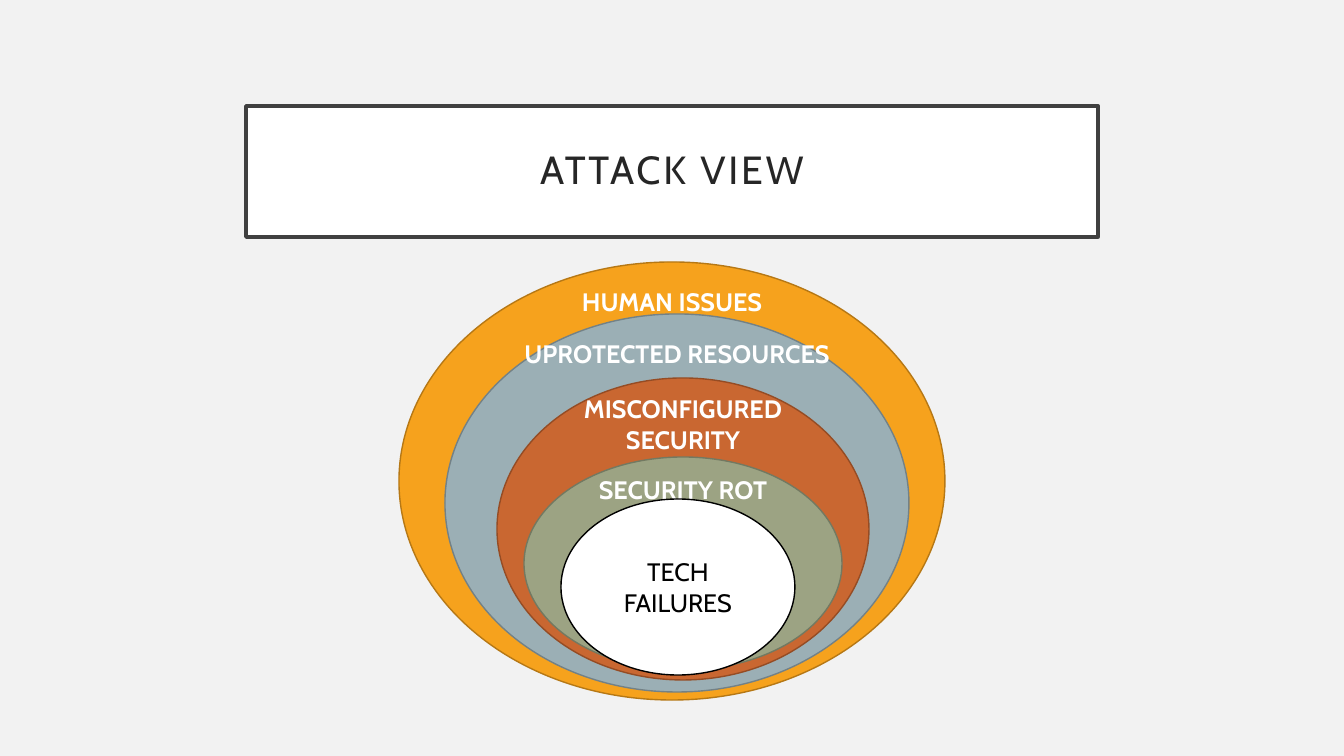
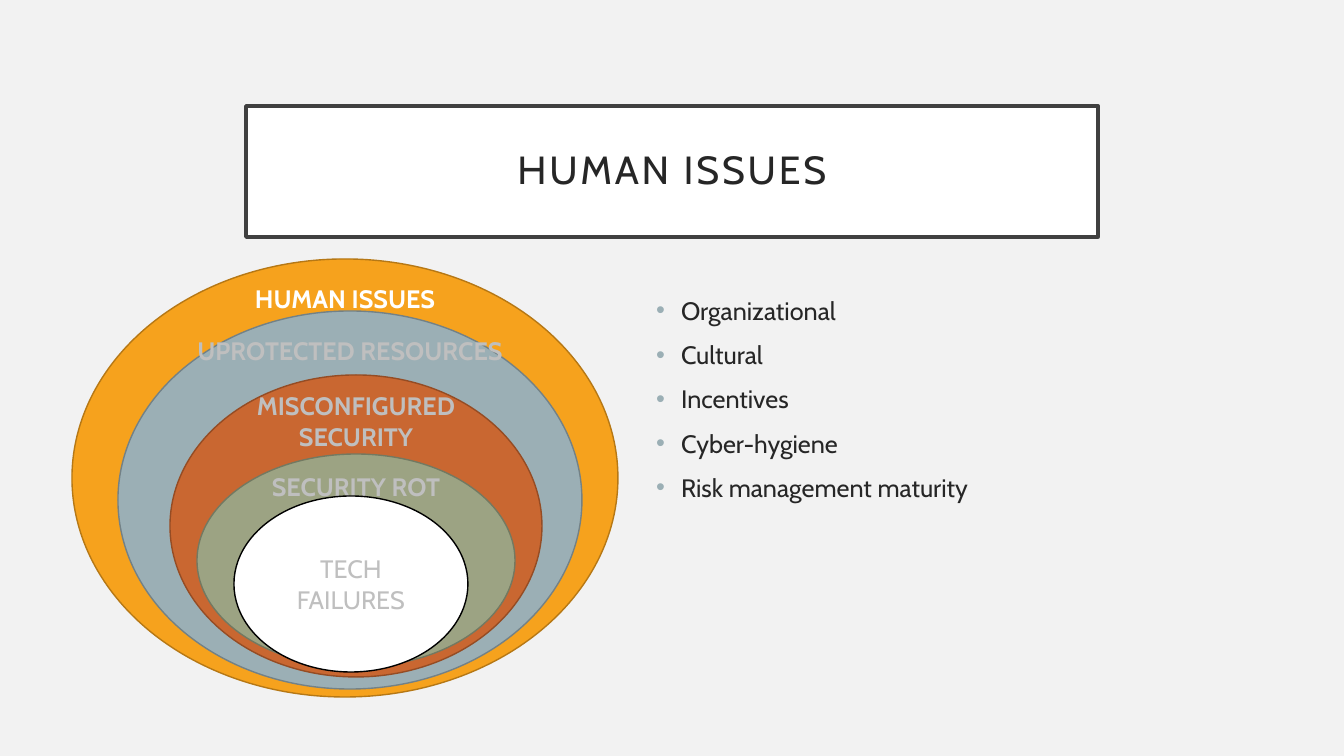
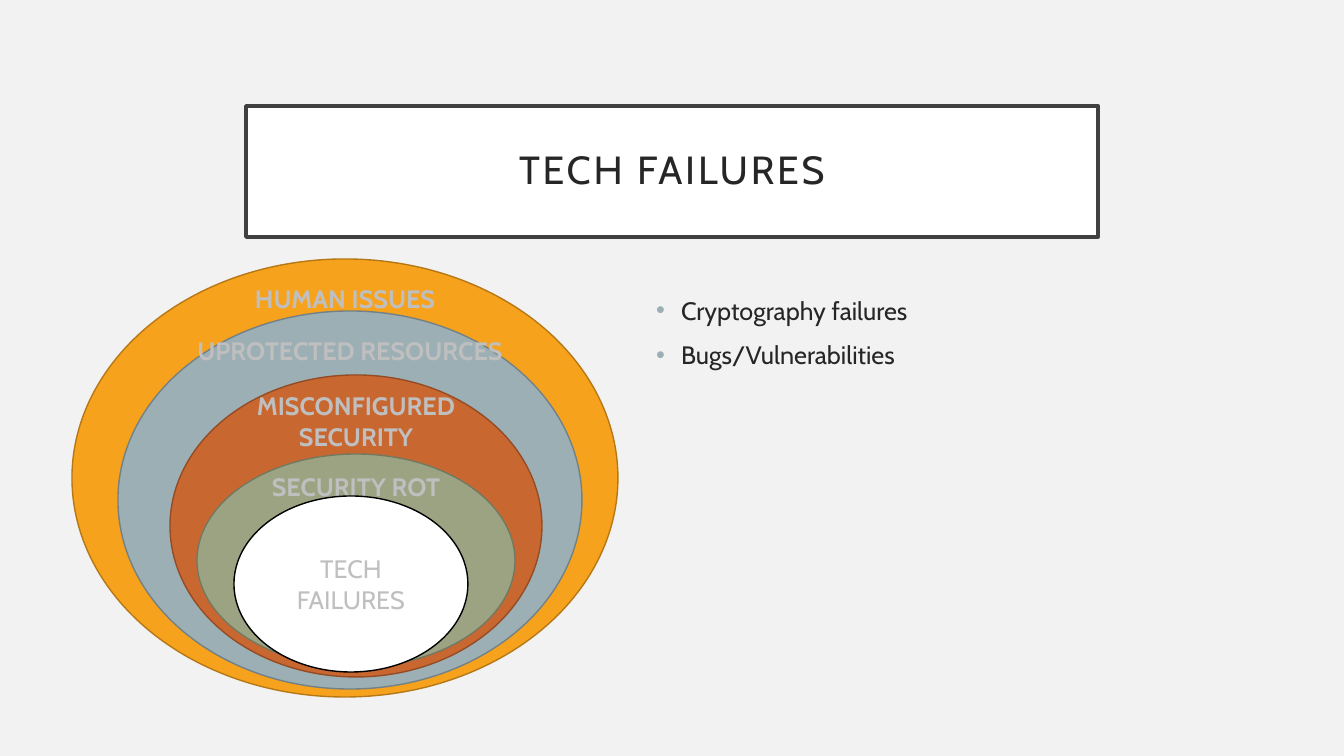
"""Build three slides on the layers of an attack view."""
import pptx
import pptx.util
import pptx.dml.color
import pptx.enum.shapes
import pptx.enum.text
import lxml.etree
import pptx.oxml.ns

RGB = pptx.dml.color.RGBColor
WHITE = RGB(0xFF, 0xFF, 0xFF)
BLACK = RGB(0, 0, 0)
PAPER = RGB(0xF2, 0xF2, 0xF2)
FRAME = RGB(0x40, 0x40, 0x40)
INK = RGB(0x26, 0x26, 0x26)
FADED = RGB(0xBF, 0xBF, 0xBF)
AMBER, AMBER_EDGE = RGB(0xF6, 0xA2, 0x1D), RGB(0xB6, 0x78, 0x15)
STEEL, STEEL_EDGE = RGB(0x9B, 0xAF, 0xB5), RGB(0x73, 0x81, 0x86)
RUST, RUST_EDGE = RGB(0xC9, 0x67, 0x31), RGB(0x95, 0x4C, 0x24)
SAGE, SAGE_EDGE = RGB(0x9C, 0xA3, 0x83), RGB(0x73, 0x79, 0x61)

FONT = "Cabin"
TITLE_BOX = (246, 106, 852, 131)
LIST_BOX = (646, 290, 453, 342)
LINE_H = 30

RINGS = [
    ("HUMAN ISSUES", (0, 0, 546, 438), 24, 1, AMBER, AMBER_EDGE),
    ("UPROTECTED RESOURCES", (46, 52, 464, 378), 24, 1, STEEL, STEEL_EDGE),
    ("MISCONFIGURED SECURITY", (98, 116, 372, 302), 16, 2, RUST, RUST_EDGE),
    ("SECURITY ROT", (125, 195, 318, 213), 17, 1, SAGE, SAGE_EDGE),
]
CORE = ("TECH FAILURES", (162, 237, 234, 176), WHITE, BLACK)
NAMES = [ring[0] for ring in RINGS] + [CORE[0]]

SLIDES = [
    ("ATTACK VIEW", (399, 262), NAMES, []),
    ("HUMAN ISSUES", (72, 259), ["HUMAN ISSUES"],
     ["Organizational", "Cultural", "Incentives", "Cyber-hygiene",
      "Risk management maturity"]),
    ("TECH FAILURES", (72, 259), [],
     ["Cryptography failures", "Bugs/Vulnerabilities"]),
]


def px(n):
    return pptx.util.Emu(round(n * 914400 / 100.8))


def place(shape, box):
    shape.left, shape.top, shape.width, shape.height = map(px, box)


def paint(shape, fill, edge, width):
    shape.fill.solid()
    shape.fill.fore_color.rgb = fill
    shape.line.color.rgb = edge
    shape.line.width = pptx.util.Pt(width)


def pad(frame, size):
    frame.margin_left = frame.margin_right = px(size)
    frame.margin_top = frame.margin_bottom = px(size)


def write(para, text, size, color, bold=False):
    run = para.add_run()
    run.text = text
    font = run.font
    font.name, font.size, font.bold = FONT, pptx.util.Pt(size), bold
    font.color.rgb = color
    return run


def center(frame):
    frame.word_wrap = True
    frame.vertical_anchor = pptx.enum.text.MSO_ANCHOR.MIDDLE
    para = frame.paragraphs[0]
    para.alignment = pptx.enum.text.PP_ALIGN.CENTER
    return para


def add_title(slide, text):
    title = slide.shapes.title
    place(title, TITLE_BOX)
    paint(title, WHITE, FRAME, 2.5)
    frame = title.text_frame
    frame.auto_size = pptx.enum.text.MSO_AUTO_SIZE.NONE
    pad(frame, 20)
    para = center(frame)
    para.line_spacing = 0.9
    run = write(para, text, 28, INK)
    run.font._element.set("spc", "200")


def add_list(slide, items):
    body = slide.placeholders[1]
    place(body, LIST_BOX)
    frame = body.text_frame
    frame.auto_size = pptx.enum.text.MSO_AUTO_SIZE.NONE
    for i, item in enumerate(items):
        para = frame.add_paragraph() if i else frame.paragraphs[0]
        para.space_before = pptx.util.Pt(10)
        write(para, item, 18, INK)
        props = para._p.get_or_add_pPr()
        props.set("marL", str(px(25)))
        props.set("indent", str(px(-25)))
        qn = pptx.oxml.ns.qn
        tint = lxml.etree.SubElement(props, qn("a:buClr"))
        lxml.etree.SubElement(tint, qn("a:srgbClr")).set("val", str(STEEL))
        lxml.etree.SubElement(props, qn("a:buChar")).set("char", "\u2022")


def add_oval(slide, box, fill, edge):
    oval = slide.shapes.add_shape(
        pptx.enum.shapes.MSO_SHAPE.OVAL, *map(px, box))
    oval.shadow.inherit = False
    paint(oval, fill, edge, 1)
    return oval


def add_rings(slide, start, lit):
    left, top = start
    for name, (x, y, w, h), drop, lines, fill, edge in RINGS:
        add_oval(slide, (left + x, top + y, w, h), fill, edge)
        span = 0.7 * w
        label = slide.shapes.add_textbox(
            px(left + x + (w - span) / 2), px(top + y + drop),
            px(span), px(lines * LINE_H))
        pad(label.text_frame, 0)
        color = WHITE if name in lit else FADED
        write(center(label.text_frame), name, 18, color, True)
    name, (x, y, w, h), fill, edge = CORE
    core = add_oval(slide, (left + x, top + y, w, h), fill, edge)
    color = BLACK if name in lit else FADED
    write(center(core.text_frame), name, 18, color)


deck = pptx.Presentation()
deck.slide_width, deck.slide_height = px(1344), px(756)
back = deck.slide_master.background.fill
back.solid()
back.fore_color.rgb = PAPER

for title, start, lit, items in SLIDES:
    slide = deck.slides.add_slide(deck.slide_layouts[1 if items else 5])
    add_title(slide, title)
    if items:
        add_list(slide, items)
    add_rings(slide, start, lit)

deck.save("out.pptx")
